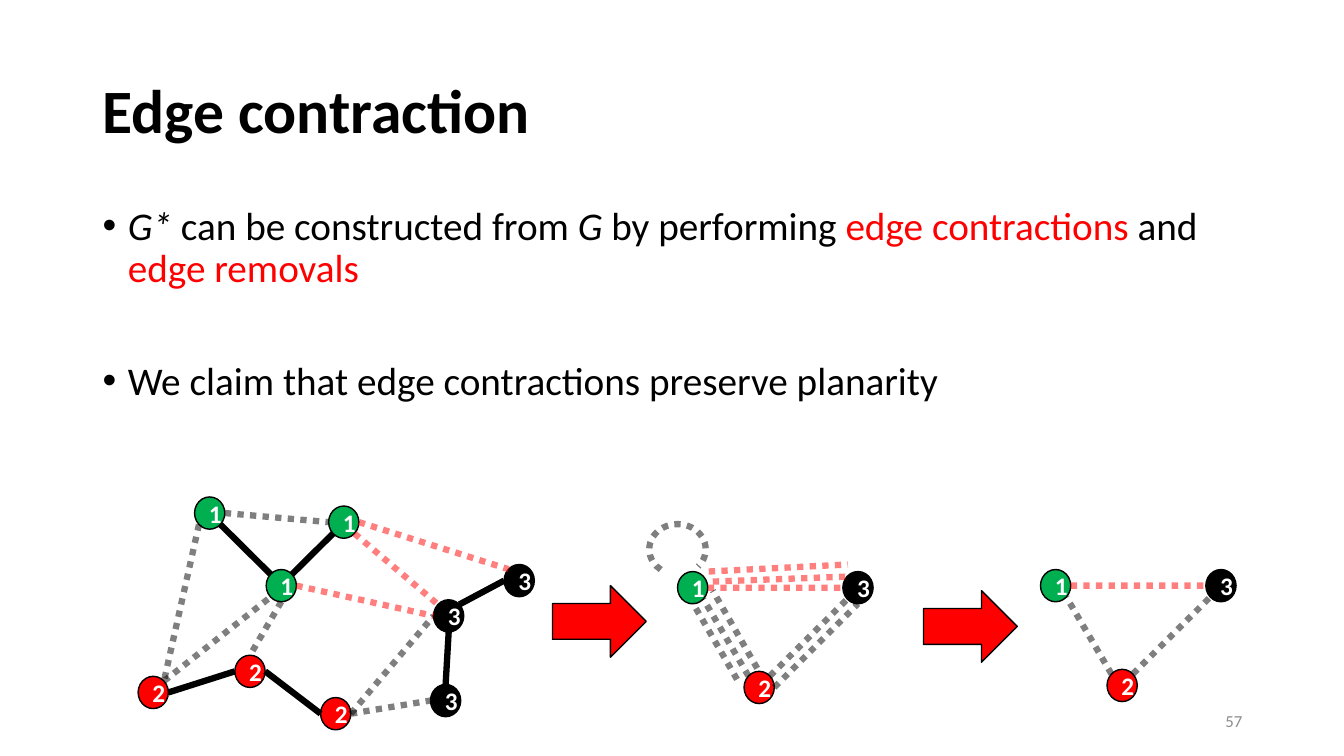
from math import sqrt

from lxml import etree
from pptx import Presentation
from pptx.dml.color import RGBColor
from pptx.enum.dml import MSO_LINE_DASH_STYLE as Dash
from pptx.enum.shapes import MSO_CONNECTOR as Connector, MSO_SHAPE as Shape
from pptx.enum.text import MSO_ANCHOR as Anchor, PP_ALIGN as Align
from pptx.oxml.ns import qn
from pptx.util import Inches, Pt

COLORS = {"black": "000000", "red": "FF0000", "green": "00B050",
          "white": "FFFFFF", "gray": "8C8C8C"}
GROUP_COLORS = {"1": "green", "2": "red", "3": "black"}
NODE_W, NODE_H = 0.3, 0.32
DIAGONAL = 1 / sqrt(2)
# Unit directions from a node's centre to its rim
SIDES = {"N": (0, -1), "S": (0, 1), "W": (-1, 0), "E": (1, 0),
         "NW": (-DIAGONAL, -DIAGONAL), "NE": (DIAGONAL, -DIAGONAL),
         "SW": (-DIAGONAL, DIAGONAL), "SE": (DIAGONAL, DIAGONAL)}

# Nodes: key starts with the group label; value is its offset in the graph's box
PARTITION_NODES = {
    "1a": (0.56, 0), "1b": (1.89, 0.09), "1c": (1.27, 0.72),
    "3a": (3.63, 0.67), "3b": (2.93, 1.02), "3c": (2.9, 1.86),
    "2a": (0, 1.78), "2b": (0.96, 1.57), "2c": (1.81, 1.99)}
# Edges: start node, side, end node, side, colour, dotted
PARTITION_EDGES = [
    ("1a", "SE", "1c", "NW", "black", False),
    ("1c", "NE", "1b", "SW", "black", False),
    ("3b", "S", "3c", "N", "black", False),
    ("3b", "NE", "3a", "W", "black", False),
    ("2b", "W", "2a", "E", "black", False),
    ("2b", "E", "2c", "W", "black", False),
    ("1b", "E", "3a", "NW", "red", True),
    ("1b", "SE", "3b", "NW", "red", True),
    ("1c", "E", "3b", "W", "red", True),
    ("1a", "E", "1b", "W", "black", True),
    ("2a", "NE", "1c", "SW", "black", True),
    ("1a", "SW", "2a", "NE", "black", True),
    ("1c", "S", "2b", "N", "black", True),
    ("2c", "E", "3c", "W", "black", True),
    ("2c", "E", "3b", "W", "black", True)]
TRIANGLE_NODES = {"3": (1.64, 0), "1": (0, 0), "2": (0.66, 0.99)}
TRIANGLE_EDGES = [
    ("1", "E", "3", "W", "red", True),
    ("2", "NW", "1", "SE", "black", True),
    ("2", "NE", "3", "SW", "black", True)]
# Parallel edges left by the contraction, as offsets in the triangle's box
PARALLEL_EDGES = [
    ((0.59, 1.07), (0.15, 0.31), "black"),
    ((0.79, 0.96), (0.35, 0.19), "black"),
    ((0.96, 1.15), (1.79, 0.32), "black"),
    ((0.35, 0.1), (1.69, 0.05), "red"),
    ((0.31, 0), (1.69, -0.07), "red")]


def rgb(color):
    return RGBColor.from_string(COLORS[color])


def style_run(run, size, color="black", bold=False, italic=False):
    font = run.font
    font.name, font.size = "Calibri", Pt(size)
    font.bold, font.italic = bold, italic
    font.color.rgb = rgb(color)


def add_text_frame(slide, box, anchor):
    frame = slide.shapes.add_textbox(*map(Inches, box)).text_frame
    frame.word_wrap = True
    frame.vertical_anchor = anchor
    return frame


def add_heading(slide, box):
    heading = add_text_frame(slide, box, Anchor.MIDDLE).paragraphs[0]
    heading.text = "Edge contraction"
    heading.line_spacing = 0.9
    style_run(heading.runs[0], 44, bold=True)


def add_claims(slide, box):
    frame = add_text_frame(slide, box, Anchor.TOP)
    claims = [
        (10, [("G*", "black", True), (" can be constructed from ", "black", False),
              ("G", "black", True), (" by performing ", "black", False),
              ("edge contractions", "red", False), (" and ", "black", False),
              ("edge removals", "red", False)]),
        (50, [("We claim that edge contractions preserve planarity", "black", False)])]
    for index, (gap, pieces) in enumerate(claims):
        claim = frame.add_paragraph() if index else frame.paragraphs[0]
        claim.line_spacing, claim.space_before = 0.9, Pt(gap)
        for words, color, italic in pieces:
            run = claim.add_run()
            run.text = words
            style_run(run, 28, color, italic=italic)
        # Bullet with a hanging indent
        props = claim._p.get_or_add_pPr()
        props.set("marL", str(Inches(0.25)))
        props.set("indent", str(Inches(-0.25)))
        etree.SubElement(props, qn("a:buFont")).set("typeface", "Arial")
        etree.SubElement(props, qn("a:buChar")).set("char", "•")


def add_page_number(slide, box):
    number = add_text_frame(slide, box, Anchor.MIDDLE).paragraphs[0]
    number.text = "57"
    number.alignment = Align.RIGHT
    style_run(number.runs[0], 12, "gray")


def style_edge(edge, color, dotted):
    edge.line.width = Pt(4.5)
    edge.line.color.rgb = rgb(color)
    if dotted:
        edge.line.dash_style = Dash.ROUND_DOT  # written as sysDot
        tint = edge.line._ln.find(".//" + qn("a:srgbClr"))
        etree.SubElement(tint, qn("a:alpha")).set("val", "50000")


def add_edge(slide, start, end, color, dotted=True):
    edge = slide.shapes.add_connector(Connector.STRAIGHT,
                                      *map(Inches, (*start, *end)))
    style_edge(edge, color, dotted)
    etree.SubElement(edge._element.spPr, qn("a:effectLst"))


def add_outlined(slide, kind, box, color):
    shape = slide.shapes.add_shape(kind, *map(Inches, box))
    shape.shadow.inherit = False
    shape.fill.solid()
    shape.fill.fore_color.rgb = rgb(color)
    shape.line.color.rgb = rgb("black")
    shape.line.width = Pt(1)
    return shape


def add_graph(slide, left, top, nodes, edges):
    for key, (dx, dy) in nodes.items():
        group = key[0]
        node = add_outlined(slide, Shape.OVAL,
                            (left + dx, top + dy, NODE_W, NODE_H),
                            GROUP_COLORS[group])
        node.text_frame.text = group
        node.text_frame.vertical_anchor = Anchor.MIDDLE
        label = node.text_frame.paragraphs[0]
        label.alignment = Align.CENTER
        style_run(label.runs[0], 18, "white", bold=True)

    def rim(key, side):
        (dx, dy), (ux, uy) = nodes[key], SIDES[side]
        return (left + dx + NODE_W / 2 * (1 + ux),
                top + dy + NODE_H / 2 * (1 + uy))

    for start, start_side, end, end_side, color, dotted in edges:
        add_edge(slide, rim(start, start_side), rim(end, end_side), color, dotted)


def add_contracted_graph(slide, left, top):
    add_graph(slide, left, top, TRIANGLE_NODES, TRIANGLE_EDGES)
    for (x1, y1), (x2, y2), color in PARALLEL_EDGES:
        add_edge(slide, (left + x1, top + y1), (left + x2, top + y2), color)
    # Self-loop at node 1
    loop = slide.shapes.add_shape(
        Shape.ARC, *map(Inches, (left - 0.28, top - 0.47, 0.56, 0.5)))
    loop.shadow.inherit = False
    loop.fill.background()
    loop.adjustments[0], loop.adjustments[1] = 77.68, 23.85
    style_edge(loop, "black", True)


def main():
    prs = Presentation()
    prs.slide_width, prs.slide_height = Inches(13.33), Inches(7.5)
    slide = prs.slides.add_slide(prs.slide_layouts[6])
    # Text
    add_heading(slide, (0.92, 0.4, 11.5, 1.45))
    add_claims(slide, (0.92, 2, 11.5, 2.3))
    add_page_number(slide, (9.42, 6.95, 3, 0.4))
    # Graph, contracted graph and final graph, with arrows between
    add_graph(slide, 1.37, 4.93, PARTITION_NODES, PARTITION_EDGES)
    add_contracted_graph(slide, 6.72, 5.67)
    add_graph(slide, 10.32, 5.65, TRIANGLE_NODES, TRIANGLE_EDGES)
    for left, top in ((5.48, 5.81), (9.16, 5.86)):
        add_outlined(slide, Shape.RIGHT_ARROW, (left, top, 0.93, 0.71), "red")
    prs.save("out.pptx")


if __name__ == "__main__":
    main()
